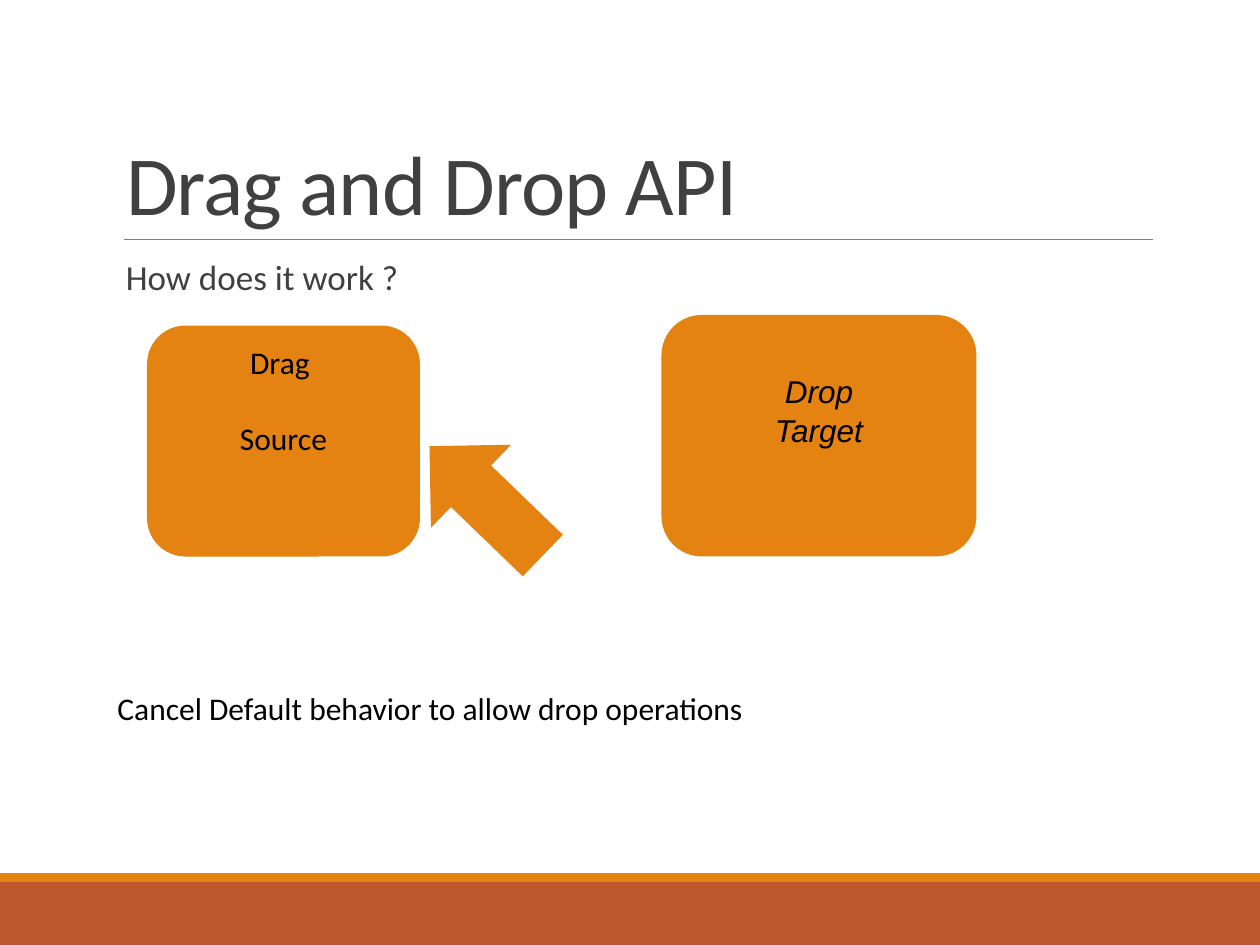
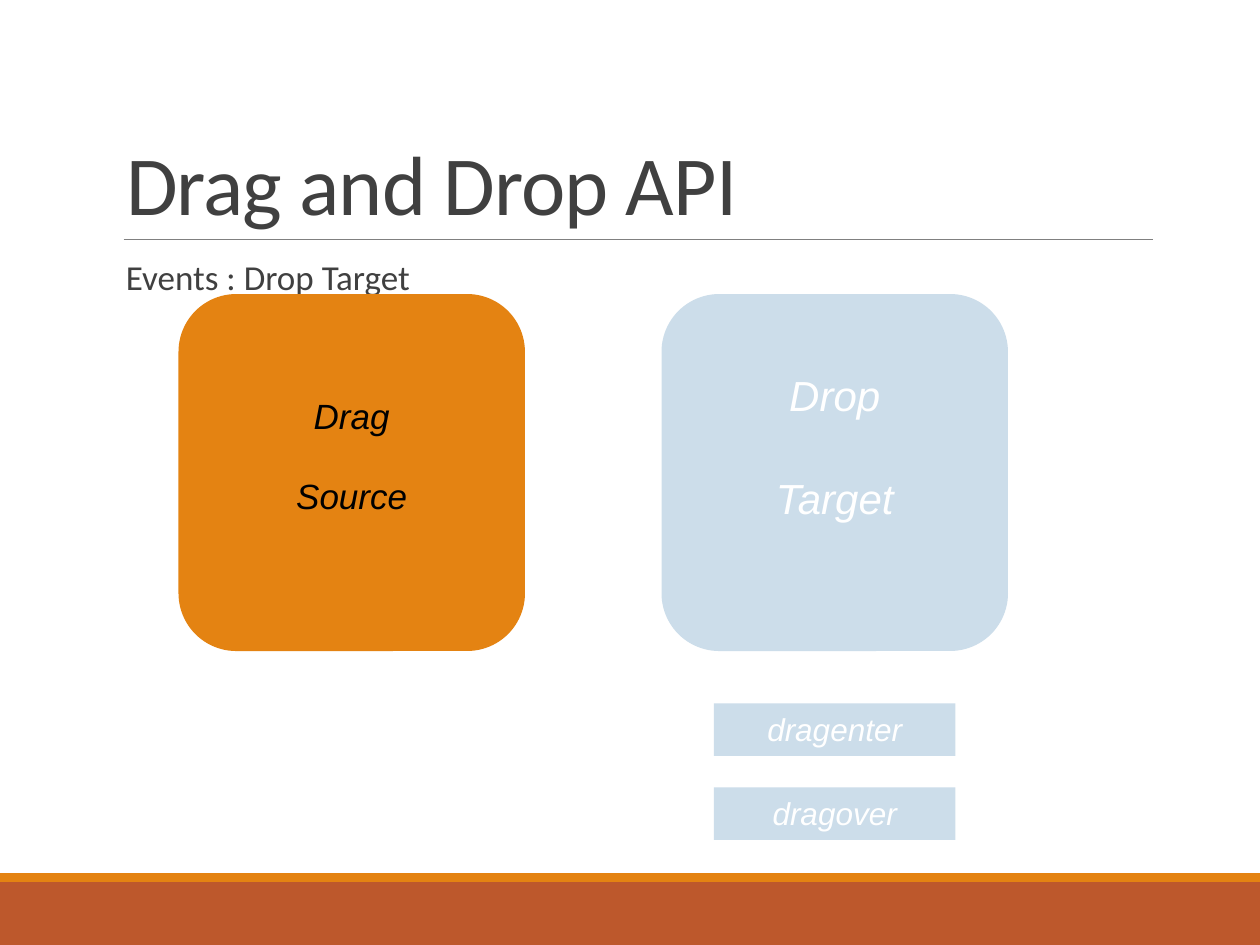
from dataclasses import dataclass

from pptx import Presentation
from pptx.dml.color import RGBColor
from pptx.enum.shapes import MSO_CONNECTOR, MSO_SHAPE
from pptx.enum.text import MSO_ANCHOR, MSO_AUTO_SIZE, PP_ALIGN
from pptx.oxml.ns import qn
from pptx.util import Pt

RECT, ROUNDED, UP_ARROW = MSO_SHAPE.RECTANGLE, MSO_SHAPE.ROUNDED_RECTANGLE, MSO_SHAPE.UP_ARROW
STRAIGHT = MSO_CONNECTOR.STRAIGHT
TOP, BOTTOM = MSO_ANCHOR.TOP, MSO_ANCHOR.BOTTOM
LEFT, CENTER = PP_ALIGN.LEFT, PP_ALIGN.CENTER
NO_FIT = MSO_AUTO_SIZE.NONE
TITLE_ONLY = 5


@dataclass(frozen=True)
class Theme:
    orange: RGBColor = RGBColor(0xE4, 0x83, 0x12)
    rust: RGBColor = RGBColor(0xBD, 0x58, 0x2C)
    pale_blue: RGBColor = RGBColor(0xCC, 0xDD, 0xEA)
    rule: RGBColor = RGBColor(0x80, 0x80, 0x80)
    heading: RGBColor = RGBColor(0x40, 0x40, 0x40)
    black: RGBColor = RGBColor(0, 0, 0)
    white: RGBColor = RGBColor(255, 255, 255)
    sans: str = "Calibri"
    label: str = "Arial"
    title_size: int = 48
    large: int = 24
    medium: int = 20
    small: int = 18


THEME = Theme()
SLIDE_W, SLIDE_H = 720, 540
TITLE_BOX = (64.8, 22.3, 594, 114.5)
BODY_BOX = (64.8, 145.4, 594, 316.8)
FOOTER_BOX = (0, 499, SLIDE_W, 41)


def points(box):
    return [Pt(v) for v in box]


def style(p, size, color, font=THEME.sans, italic=False, align=LEFT):
    p.alignment = align
    p.font.size, p.font.name, p.font.italic = Pt(size), font, italic
    p.font.color.rgb = color


def add_block(slide, kind, box, fill):
    s = slide.shapes.add_shape(kind, *points(box))
    s.shadow.inherit = False
    s.fill.solid()
    s.fill.fore_color.rgb = fill
    s.line.fill.background()
    return s


def add_label_block(slide, kind, box, fill, lines, size, color,
                    font=THEME.label, pad=0, gap=0):
    """Block with top-anchored lines, pad points down and gap points apart."""
    s = add_block(slide, kind, box, fill)
    tf = s.text_frame
    tf.word_wrap, tf.vertical_anchor = True, TOP
    tf.margin_top = Pt(3.6 + pad)
    for i, line in enumerate(lines):
        p = tf.paragraphs[0] if i == 0 else tf.add_paragraph()
        p.text = line
        style(p, size, color, font, font == THEME.label, CENTER)
        p.space_before = Pt(gap if i else 0)


def add_text(slide, box, text, size, color):
    tf = slide.shapes.add_textbox(*points(box)).text_frame
    tf.word_wrap = True
    p = tf.paragraphs[0]
    p.text = text
    style(p, size, color)
    return p


def add_footer_bands(slide, box):
    x, y, w, h = box
    stripe = 5
    add_block(slide, RECT, (x, y + stripe, w, h - stripe), THEME.rust)
    add_block(slide, RECT, (x, y, w, stripe), THEME.orange)


def add_title(slide, box, text):
    x, y, w, h = box
    line = slide.shapes.add_connector(STRAIGHT, *points((x + 5.8, y + h, x + w, y + h)))
    line.line.color.rgb, line.line.width = THEME.rule, Pt(0.5)
    sp_pr = line._element.spPr
    sp_pr.append(sp_pr.makeelement(qn("a:effectLst"), {}))

    s = slide.shapes.title
    s.left, s.top, s.width, s.height = points(box)
    tf = s.text_frame
    tf.text = text
    tf.auto_size, tf.vertical_anchor = NO_FIT, BOTTOM
    p = tf.paragraphs[0]
    style(p, THEME.title_size, THEME.heading)
    p.line_spacing = 0.85
    p.runs[0]._r.get_or_add_rPr().set("spc", "-50")


def add_content_slide(prs, subheading):
    slide = prs.slides.add_slide(prs.slide_layouts[TITLE_ONLY])
    add_footer_bands(slide, FOOTER_BOX)
    add_title(slide, TITLE_BOX, "Drag and Drop API")
    add_text(slide, BODY_BOX, subheading, THEME.medium, THEME.heading).line_spacing = 0.9
    return slide


def add_how_it_works(slide, box):
    x, y, _, _ = box
    add_label_block(slide, ROUNDED, (x + 19.2, y + 40.6, 156, 132), THEME.orange,
                    ("Drag ", "Source"), THEME.small, THEME.black, THEME.sans, gap=22)
    add_label_block(slide, ROUNDED, (x + 313.2, y + 34.6, 180, 138), THEME.orange,
                    ("Drop", "Target"), THEME.small, THEME.black, pad=22, gap=1)
    arrow = add_block(slide, UP_ARROW, (x + 180, y + 95.8, 66, 90), THEME.orange)
    arrow.rotation = 314
    add_text(slide, (x - 4.8, y + 244.6, 600, 29),
             "Cancel Default behavior to allow drop operations", THEME.small, THEME.black)


def add_drop_target_events(slide, box):
    x, y, _, _ = box
    card_w, card_h, card_y = 198, 204, y + 22.6
    target_x = x + 313.2
    add_label_block(slide, ROUNDED, (x + 37.2, card_y, card_w, card_h), THEME.orange,
                    ("Drag", "Source"), THEME.medium, THEME.black, pad=44, gap=22)
    add_label_block(slide, ROUNDED, (target_x, card_y, card_w, card_h), THEME.pale_blue,
                    ("Drop", "Target"), THEME.large, THEME.white, pad=30, gap=30)
    event_w, event_h, pitch = 138, 30, 48
    event_x = target_x + (card_w - event_w) / 2
    for i, event in enumerate(("dragenter", "dragover")):
        event_y = card_y + card_h + 30 + i * pitch
        add_label_block(slide, RECT, (event_x, event_y, event_w, event_h),
                        THEME.pale_blue, (event,), THEME.small, THEME.white)


def main():
    prs = Presentation()
    prs.slide_width, prs.slide_height = Pt(SLIDE_W), Pt(SLIDE_H)
    add_how_it_works(add_content_slide(prs, "How does it work ?"), BODY_BOX)
    add_drop_target_events(add_content_slide(prs, "Events : Drop Target"), BODY_BOX)
    prs.save("out.pptx")


if __name__ == "__main__":
    main()
